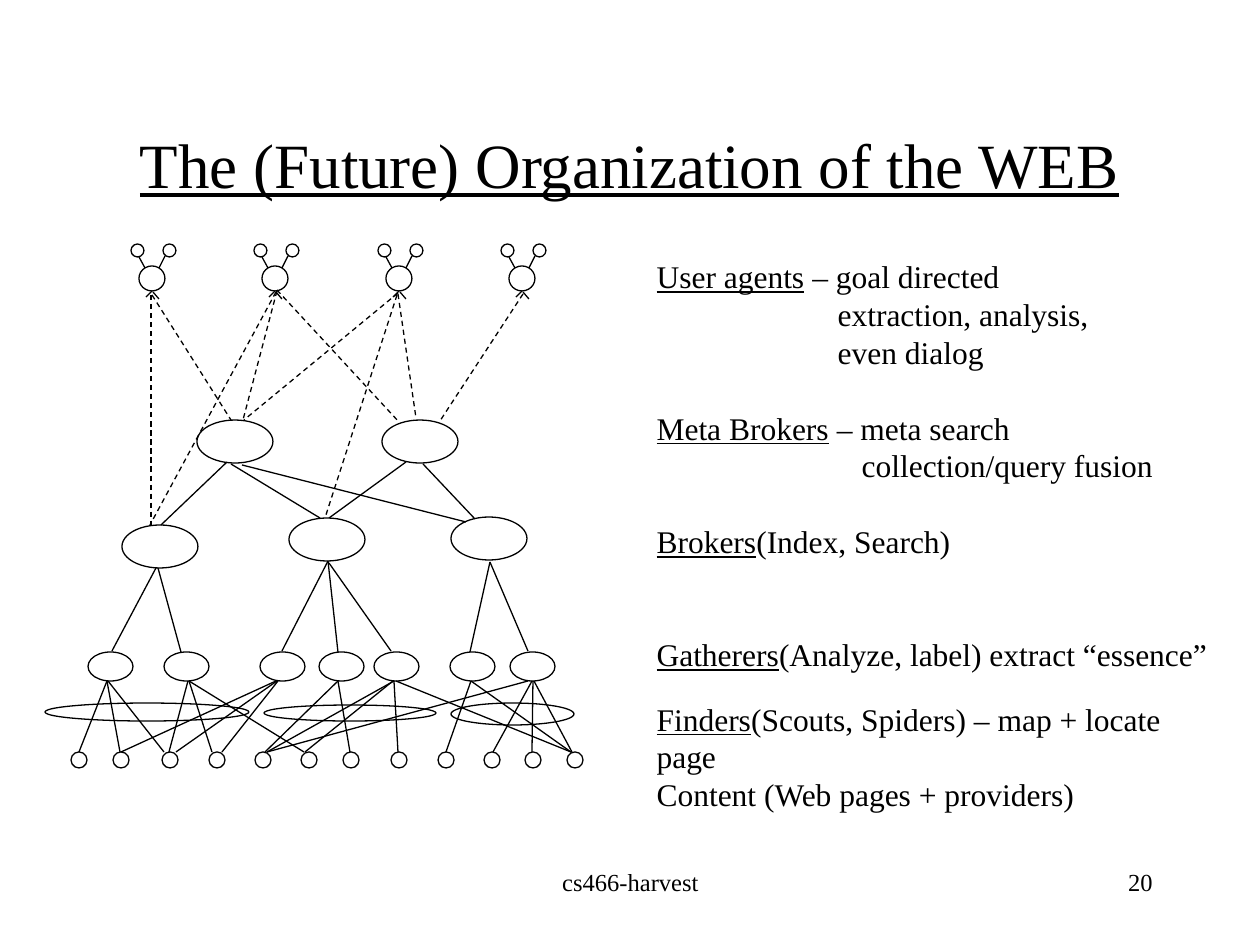
"""Build a slide showing the layered organization of the future web."""
from lxml.etree import SubElement
from pptx import Presentation
from pptx.dml.color import RGBColor
from pptx.enum.dml import MSO_LINE
from pptx.enum.shapes import MSO_CONNECTOR, MSO_SHAPE
from pptx.enum.text import MSO_ANCHOR, MSO_AUTO_SIZE, PP_ALIGN
from pptx.oxml.ns import qn
from pptx.util import Pt

PX = 914400 / 126
FONT = "Times New Roman"
COLORS = {"ink": "000000"}
LINE_PITCH = 21.6

TITLE = "The (Future) Organization of the WEB"
# underlined term, plain text, left indent in px, extra lines before
LEGEND = [
    ("User agents", " – goal directed", 0, 0),
    ("", "extraction, analysis,", 181, 0),
    ("", "even dialog", 181, 0),
    ("Meta Brokers", " – meta search", 0, 1),
    ("", "collection/query fusion", 205, 0),
    ("Brokers", "(Index, Search)", 0, 1),
    ("Gatherers", "(Analyze, label) extract “essence”", 0, 2),
    ("Finders", "(Scouts, Spiders) – map + locate page", 0, 0.7),
    ("", "Content (Web pages + providers)", 0, 0),
]
FOOTERS = [
    ("cs466-harvest", (431, 861, 399, 63), PP_ALIGN.CENTER),
    ("20", (903, 861, 262, 63), PP_ALIGN.RIGHT),
]

AGENT_LEFTS = [139, 262, 386, 509]
AGENT_OVALS = [(0, 266, 26, 25), (-8, 244, 13, 13), (24, 244, 13, 13)]
AGENT_LINES = [(26, 256, 20, 268), (0, 257, 6, 268),
               (13, 291, 7, 297), (14, 292, 20, 299)]

BROKER_SIZE = (76, 43)
BROKERS = [(197, 420), (382, 420), (122, 525), (289, 518), (451, 517)]
GATHERER_LEFTS = [88, 164, 260, 319, 374, 450, 510]
PAGE_LEFTS = [71, 113, 162, 209, 255, 301, 343, 391, 438, 484, 525, 567]
FINDERS = [(45, 703, 204, 18), (264, 705, 172, 16), (451, 703, 123, 22)]

FINDER_TOP, FINDER_BOTTOM = 681, 752
FINDER_LINKS = [
    (107, 79), (107, 120), (108, 164), (188, 169), (189, 212), (276, 121),
    (277, 176), (338, 265), (278, 222), (394, 267), (528, 267), (471, 571),
    (471, 446), (394, 398), (338, 350), (393, 305), (189, 304), (532, 493),
    (533, 532), (534, 572), (396, 571),
]
BROKER_LINKS = [
    (112, 651, 156, 568), (158, 568, 181, 652), (282, 651, 328, 561),
    (328, 561, 338, 652), (329, 563, 391, 651), (490, 562, 470, 652),
    (490, 562, 528, 651), (475, 519, 423, 464), (406, 462, 329, 518),
    (227, 462, 161, 525), (231, 464, 320, 518), (242, 465, 466, 522),
]
AGENT_LINKS = [
    (151, 295, 151, 525), (152, 295, 231, 420), (276, 292, 150, 525),
    (277, 291, 243, 420), (277, 290, 399, 422), (398, 293, 244, 420),
    (398, 294, 416, 418), (523, 294, 440, 421), (397, 295, 325, 518),
]


def emu(*lengths):
    return [round(length * PX) for length in lengths]


def place(shape, *bounds):
    shape.left, shape.top, shape.width, shape.height = emu(*bounds)


def style_font(font, size):
    font.name = FONT
    font.size = Pt(size)
    font.color.rgb = RGBColor.from_string(COLORS["ink"])


def style_line(line):
    line.color.rgb = RGBColor.from_string(COLORS["ink"])
    line.width = Pt(0.75)


def add_oval(shapes, *bounds):
    oval = shapes.add_shape(MSO_SHAPE.OVAL, *emu(*bounds))
    oval.shadow.inherit = False
    oval.fill.background()
    style_line(oval.line)


def add_link(shapes, ends, dashed=False):
    link = shapes.add_connector(MSO_CONNECTOR.STRAIGHT, *emu(*ends))
    style_line(link.line)
    if dashed:
        link.line.dash_style = MSO_LINE.DASH
    SubElement(link._element.spPr, qn("a:effectLst"))


def add_agent(page, left):
    agent = page.shapes.add_group_shape()
    for x, y, width, height in AGENT_OVALS:
        add_oval(agent.shapes, left + x, y, width, height)
    for x1, y1, x2, y2 in AGENT_LINES:
        add_link(agent.shapes, (left + x1, y1, left + x2, y2))


def fill_title(title):
    place(title, 94, 84, 1071, 158)
    frame = title.text_frame
    frame.text = TITLE
    frame.auto_size = MSO_AUTO_SIZE.NONE
    frame.vertical_anchor = MSO_ANCHOR.MIDDLE
    para = frame.paragraphs[0]
    para.alignment = PP_ALIGN.CENTER
    style_font(para.font, 36)
    para.font.underline = True


def fill_legend(body):
    place(body, 644, 251, 596, 530)
    frame = body.text_frame
    frame.auto_size = MSO_AUTO_SIZE.NONE
    frame.word_wrap = False
    for index, (term, text, indent, gap) in enumerate(LEGEND):
        para = frame.add_paragraph() if index else frame.paragraphs[0]
        para.line_spacing = Pt(LINE_PITCH)
        para.space_before = Pt(gap * LINE_PITCH)
        style_font(para.font, 18)
        properties = para._p.get_or_add_pPr()
        properties.set("marL", str(emu(indent)[0]))
        properties.set("indent", "0")
        bullet = properties.makeelement(qn("a:buNone"), {})
        properties.insert_element_before(bullet, "a:tabLst", "a:defRPr", "a:extLst")
        if term:
            span = para.add_run()
            span.text = term
            span.font.underline = True
        para.add_run().text = text


def add_footer(page, text, bounds, alignment):
    box = page.shapes.add_textbox(*emu(*bounds))
    box.text_frame.word_wrap = True
    para = box.text_frame.paragraphs[0]
    para.text = text
    para.alignment = alignment
    style_font(para.font, 14)


def main():
    deck = Presentation()
    deck.slide_width, deck.slide_height = emu(1260, 945)
    page = deck.slides.add_slide(deck.slide_layouts[1])
    shapes = page.shapes
    fill_title(shapes.title)
    fill_legend(page.placeholders[1])

    for left in AGENT_LEFTS:
        add_agent(page, left)
    ovals = [(*corner, *BROKER_SIZE) for corner in BROKERS]
    ovals += [(left, 652, 45, 29) for left in GATHERER_LEFTS]
    ovals += [(left, 752, 16, 16) for left in PAGE_LEFTS]
    for bounds in ovals + FINDERS:
        add_oval(shapes, *bounds)

    for gatherer, content in FINDER_LINKS:
        add_link(shapes, (gatherer, FINDER_TOP, content, FINDER_BOTTOM))
    for ends in BROKER_LINKS:
        add_link(shapes, ends)
    for ends in AGENT_LINKS:
        add_link(shapes, ends, dashed=True)
    for footer in FOOTERS:
        add_footer(page, *footer)
    deck.save("out.pptx")


if __name__ == "__main__":
    main()
